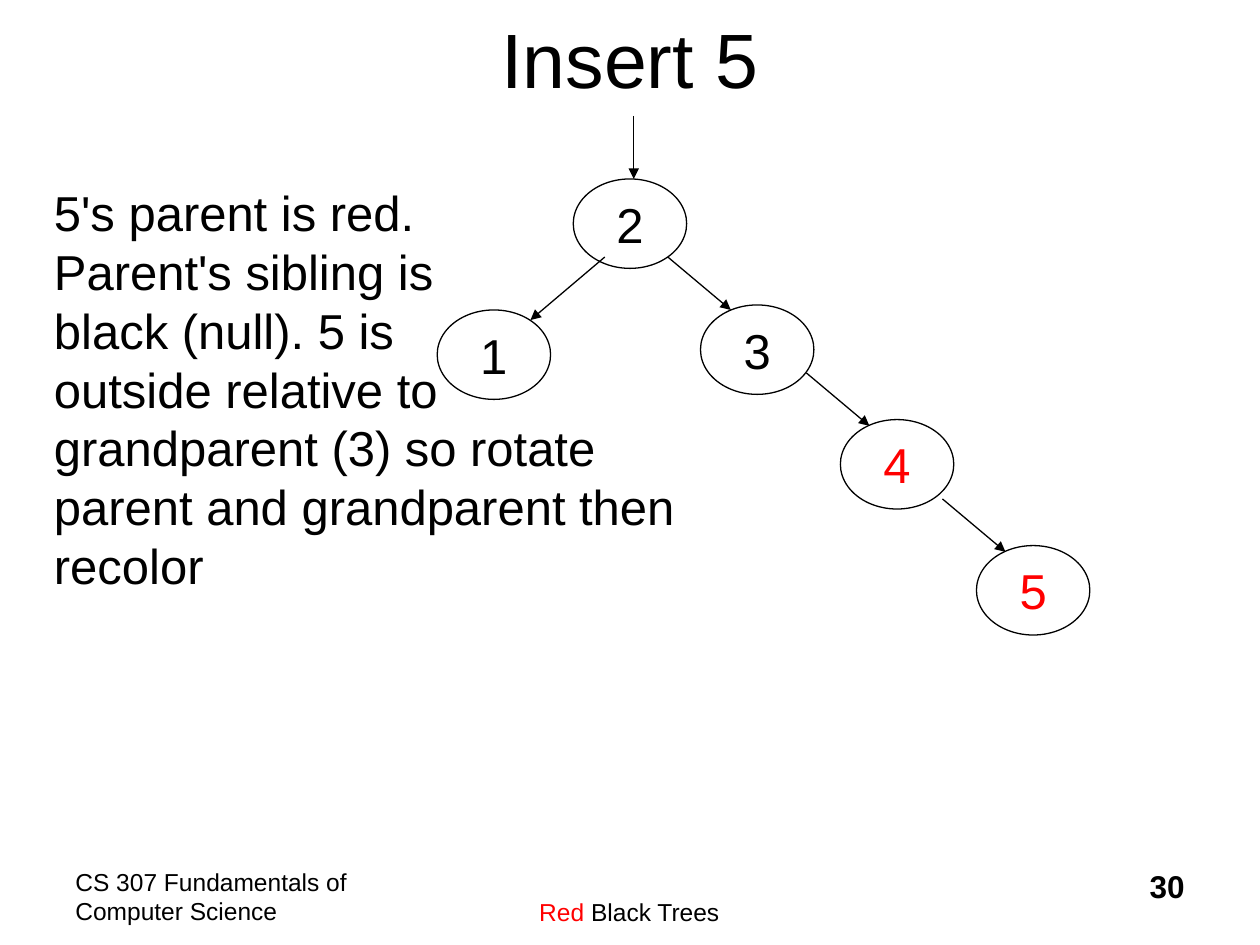
from lxml.etree import SubElement
from pptx import Presentation
from pptx.dml.color import RGBColor
from pptx.enum.shapes import MSO_CONNECTOR as Connector, MSO_SHAPE as Shape
from pptx.enum.text import MSO_ANCHOR as Anchor, PP_ALIGN as Align
from pptx.oxml.ns import qn
from pptx.util import Inches, Pt

BLACK = RGBColor(0, 0, 0)
RED = RGBColor(255, 0, 0)

deck = Presentation()
deck.slide_width, deck.slide_height = Inches(10), Inches(7.5)
COLUMN = deck.slide_width / 10
ROW = deck.slide_height / 7.5
slide = deck.slides.add_slide(deck.slide_layouts[5])


def place(*cells):
    return [int(cell * unit) for cell, unit in zip(cells, (COLUMN, ROW) * 2)]


def write(frame, text, size, align=Align.LEFT, color=BLACK, bold=False, before=0):
    paragraph = frame.paragraphs[0]
    paragraph.text = text
    paragraph.alignment = align
    paragraph.space_before = Pt(before)
    font = paragraph.font
    font.name, font.size, font.bold = "Arial", Pt(size), bold
    font.color.rgb = color
    return paragraph


title = slide.shapes.title
title.left, title.top, title.width, title.height = place(0.75, -0.17, 8.5, 1.25)
title.text_frame.vertical_anchor = Anchor.MIDDLE
write(title.text_frame, "Insert 5", 44, Align.CENTER)

NODE_WIDTH, NODE_HEIGHT = 0.9, 0.71
nodes = [
    ("2", 4.55, 1.42, BLACK),
    ("1", 3.47, 2.46, BLACK),
    ("3", 5.56, 2.42, BLACK),
    ("4", 6.67, 3.33, RED),
    ("5", 7.75, 4.33, RED),
]
for key, left, top, color in nodes:
    node = slide.shapes.add_shape(Shape.OVAL, *place(left, top, NODE_WIDTH, NODE_HEIGHT))
    node.shadow.inherit = False
    node.fill.background()
    node.line.color.rgb = BLACK
    node.line.width = Pt(0.75)
    frame = node.text_frame
    frame.margin_left = frame.margin_right = frame.margin_top = frame.margin_bottom = 0
    frame.vertical_anchor = Anchor.MIDDLE
    write(frame, key, 28, Align.CENTER, color, before=7)

links = [
    (5.03, 0.92, 5.03, 1.42),
    (4.8, 2.04, 4.21, 2.54),
    (5.3, 2.04, 5.8, 2.46),
    (6.4, 2.96, 6.9, 3.38),
    (7.48, 3.96, 7.98, 4.38),
]
for ends in links:
    link = slide.shapes.add_connector(Connector.STRAIGHT, *place(*ends))
    link.line.color.rgb = BLACK
    link.line.width = Pt(0.75)
    SubElement(link.line._get_or_add_ln(), qn("a:tailEnd"), type="triangle")
    SubElement(link._element.spPr, qn("a:effectLst"))

explanation = slide.shapes.add_textbox(*place(0.33, 1.4, 5.12, 3.37)).text_frame
explanation.word_wrap = False
write(
    explanation,
    "5's parent is red.\nParent's sibling is\nblack (null). 5 is\n"
    "outside relative to\ngrandparent (3) so rotate\n"
    "parent and grandparent then\nrecolor",
    28,
    before=7,
)

course = slide.shapes.add_textbox(*place(0.5, 6.83, 2.5, 0.5)).text_frame
course.word_wrap = True
write(course, "CS 307 Fundamentals of Computer Science", 14)

topic = slide.shapes.add_textbox(*place(3.08, 7.07, 3.83, 0.3)).text_frame
topic.word_wrap = True
topic_line = write(topic, "Red", 14, Align.CENTER)
topic_line.runs[0].font.color.rgb = RED
topic_line.add_run().text = " Black Trees"

page = slide.shapes.add_textbox(*place(7.42, 6.83, 2.08, 0.5)).text_frame
page.word_wrap = True
write(page, "30", 18, Align.RIGHT, bold=True)

deck.save("out.pptx")
